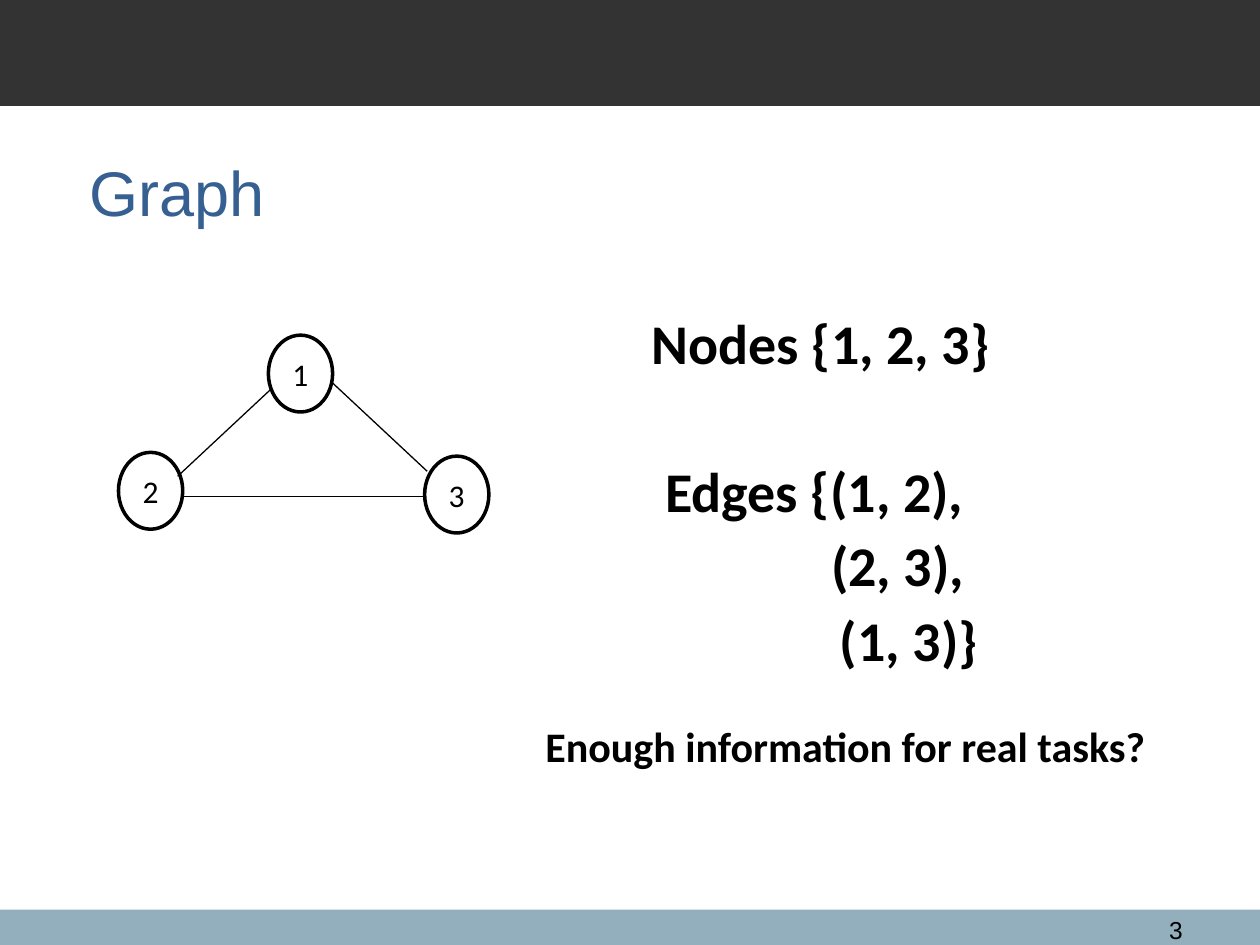
from lxml.etree import SubElement
from pptx import Presentation
from pptx.dml.color import RGBColor
from pptx.enum.shapes import MSO_CONNECTOR, MSO_SHAPE
from pptx.enum.text import MSO_ANCHOR, PP_ALIGN
from pptx.oxml.ns import qn
from pptx.util import Inches, Pt


def color(value):
    return RGBColor.from_string(value)


class GraphSlide:
    """Holds the style and the current slide, and draws each kind of element."""

    ink = "000000"
    title_color = "376092"
    heading_font = "Arial"
    body_font = "Calibri"

    def __init__(self, page):
        self.page = page

    def format(self, paragraph, size, font, ink, bold=False):
        for span in paragraph.runs:
            span.font.size = Pt(size)
            span.font.name = font
            span.font.bold = bold
            span.font.color.rgb = color(ink)

    def bar(self, top, height, fill):
        bar = self.page.shapes.add_shape(
            MSO_SHAPE.RECTANGLE, 0, Inches(top), Inches(10), Inches(height))
        bar.shadow.inherit = False
        bar.fill.solid()
        bar.fill.fore_color.rgb = color(fill)
        bar.line.fill.background()

    def text(self, place, content, size, font=body_font, ink=ink, bold=False,
             align=PP_ALIGN.LEFT, wrap=True, gap=0):
        box = self.page.shapes.add_textbox(*map(Inches, place))
        frame = box.text_frame
        frame.word_wrap = wrap
        frame.text = content
        for paragraph in frame.paragraphs:
            paragraph.alignment = align
            paragraph.space_after = Pt(gap)
            self.format(paragraph, size, font, ink, bold)
        return frame

    def node(self, left, top, label):
        node = self.page.shapes.add_shape(
            MSO_SHAPE.OVAL, Inches(left), Inches(top), Inches(0.51), Inches(0.61))
        node.shadow.inherit = False
        node.fill.background()
        node.line.color.rgb = color(self.ink)
        node.line.width = Pt(2)
        frame = node.text_frame
        frame.text = label
        frame.vertical_anchor = MSO_ANCHOR.MIDDLE
        frame.paragraphs[0].alignment = PP_ALIGN.CENTER
        self.format(frame.paragraphs[0], 18, self.body_font, self.ink)

    def edge(self, *ends):
        edge = self.page.shapes.add_connector(
            MSO_CONNECTOR.STRAIGHT, *map(Inches, ends))
        edge.line.color.rgb = color(self.ink)
        edge.line.width = Pt(0.75)
        SubElement(edge._element.spPr, qn("a:effectLst"))


deck = Presentation()
deck.slide_width, deck.slide_height = Inches(10), Inches(7.5)
slide = GraphSlide(deck.slides.add_slide(deck.slide_layouts[6]))

slide.bar(7.22, 0.28, "93AFBD")
slide.bar(0, 0.84, "333333")

number = slide.text((9.28, 7.25, 0.2, 0.25), "3", 14, slide.heading_font)
number.margin_left = number.margin_right = number.margin_bottom = 0
number.margin_top = Inches(0.01)
number.paragraphs[0].space_before = Pt(0.9)

slide.text((0.61, 1.17, 4.55, 0.71), "Graph", 36, slide.heading_font, slide.title_color)
slide.text((4.91, 2.4, 3.21, 0.64), "Nodes {1, 2, 3}", 32,
           bold=True, align=PP_ALIGN.CENTER)

edge_list = slide.text((4.91, 3.57, 3.21, 1.72), "Edges {(1, 2), \n(2, 3),\n(1, 3)}", 32,
                       bold=True, align=PP_ALIGN.CENTER, gap=4.4)
for paragraph, indent in zip(edge_list.paragraphs, (0, 1.22, 1.4)):
    paragraph._p.get_or_add_pPr().set("marL", str(Inches(indent)))

for left, top, label in ((2.13, 2.66, "1"), (0.94, 3.59, "2"), (3.37, 3.62, "3")):
    slide.node(left, top, label)
for ends in ((2.16, 3.08, 1.41, 3.78), (2.64, 3.04, 3.39, 3.74), (1.45, 3.94, 3.37, 3.94)):
    slide.edge(*ends)

slide.text((4.23, 5.67, 4.96, 0.5), "Enough information for real tasks?", 24,
           bold=True, align=PP_ALIGN.CENTER, wrap=False)

deck.save("out.pptx")
